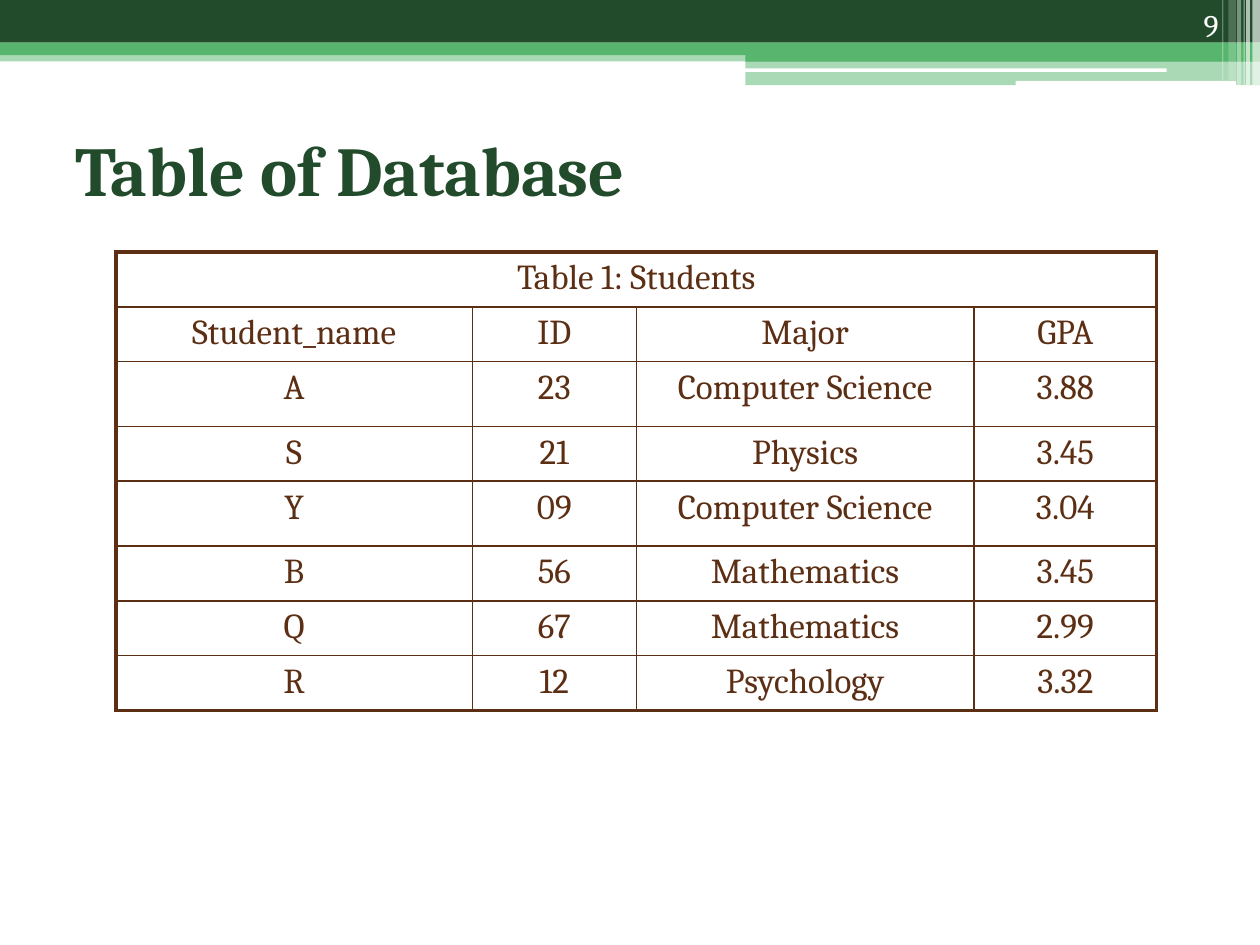
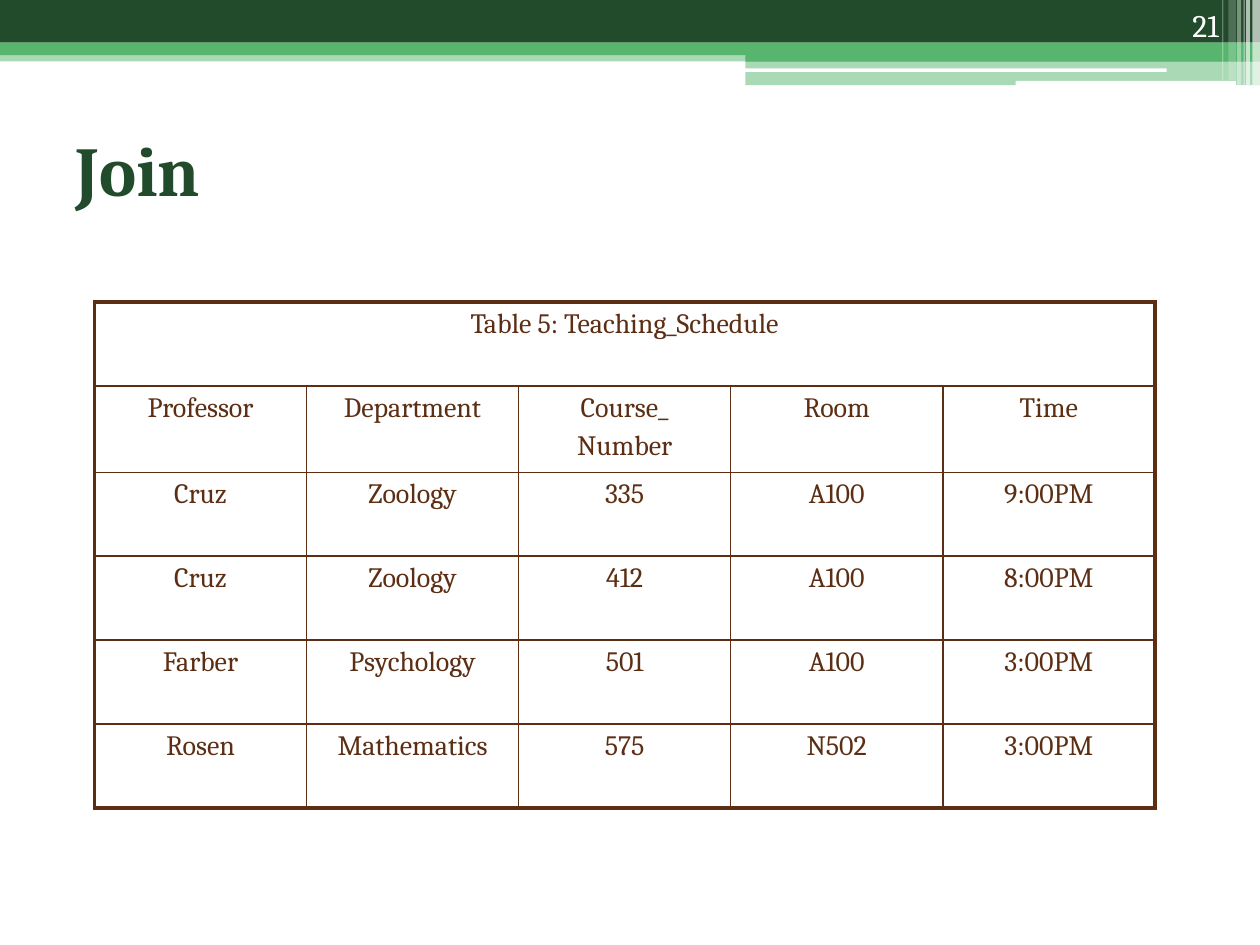
"""Build two database slides with a shared green banner and bordered tables."""
from lxml import etree
from pptx import Presentation
from pptx.dml.color import RGBColor
from pptx.enum.shapes import MSO_SHAPE
from pptx.enum.text import MSO_ANCHOR, PP_ALIGN
from pptx.oxml.ns import qn
from pptx.util import Pt

RECT, ROUND = MSO_SHAPE.RECTANGLE, MSO_SHAPE.ROUNDED_RECTANGLE
MIDDLE, BOTTOM = MSO_ANCHOR.MIDDLE, MSO_ANCHOR.BOTTOM
LEFT, CENTER, RIGHT = PP_ALIGN.LEFT, PP_ALIGN.CENTER, PP_ALIGN.RIGHT
FONT = "Cambria"
COLORS = {"dark": "214B2B", "green": "57B56D", "white": "FFFFFF", "brown": "5C2E14"}
THIN, THICK = 1, 2.25

BANDS = [
    (RECT, 0, 28.8, 720, 6.3, "green", 50),
    (RECT, 0, 0, 720, 24.4, "dark", 100),
    (RECT, 0, 24.4, 720, 7.2, "green", 100),
    (RECT, 426, 28, 294, 7.2, "green", 100),
    (RECT, 426, 34.9, 294, 13.8, "green", 50),
    (ROUND, 425.5, 39.1, 241.2, 2, "white", 100),
    (ROUND, 580.4, 46.2, 126, 2.9, "white", 100),
    (RECT, 715.6, 0, 4.4, 48.8, "white", 65),
    (RECT, 712.1, 0, 2.2, 48.8, "white", 65),
    (RECT, 710.6, 0, 0.7, 48.8, "white", 60),
    (RECT, 707, 0, 2.2, 48.8, "white", 40),
    (RECT, 702, 0, 4.3, 46, "white", 20),
    (RECT, 698.4, 0, 0.7, 46, "white", 30),
]

SLIDES = [
    {
        "title": "Table of Database", "page": "9", "size": 20,
        "left": 66.2, "top": 144,
        "cols": [203.8, 93.6, 193, 104.4],
        "rows": [31.4, 31.2, 37, 31.4, 37, 31.4, 31.2, 31.4],
        "cells": [
            ["Table 1: Students"],
            ["Student_name", "ID", "Major", "GPA"],
            ["A", "23", "Computer Science", "3.88"],
            ["S", "21", "Physics", "3.45"],
            ["Y", "09", "Computer Science", "3.04"],
            ["B", "56", "Mathematics", "3.45"],
            ["Q", "67", "Mathematics", "2.99"],
            ["R", "12", "Psychology", "3.32"],
        ],
    },
    {
        "title": "Join", "page": "21", "size": 16,
        "left": 54, "top": 172.5,
        "cols": [121.2] * 5,
        "rows": [48, 49.4] + [48] * 4,
        "cells": [
            ["Table 5: Teaching_Schedule"],
            ["Professor", "Department", "Course_\nNumber", "Room", "Time"],
            ["Cruz", "Zoology", "335", "A100", "9:00PM"],
            ["Cruz", "Zoology", "412", "A100", "8:00PM"],
            ["Farber", "Psychology", "501", "A100", "3:00PM"],
            ["Rosen", "Mathematics", "575", "N502", "3:00PM"],
        ],
    },
]


def style(para, size, color, align, bold=False):
    para.alignment = align
    para.font.name = FONT
    para.font.size = Pt(size)
    para.font.bold = bold
    para.font.color.rgb = RGBColor.from_string(COLORS[color])


def edge(cell, side, width):
    line = etree.SubElement(cell._tc.get_or_add_tcPr(), qn(f"a:ln{side}"), w=str(Pt(width)))
    fill = etree.SubElement(line, qn("a:solidFill"))
    etree.SubElement(fill, qn("a:srgbClr"), val=COLORS["brown"])


prs = Presentation()
prs.slide_width, prs.slide_height = Pt(720), Pt(540)

for data in SLIDES:
    slide = prs.slides.add_slide(prs.slide_layouts[6])
    for kind, x, y, w, h, color, alpha in BANDS:
        band = slide.shapes.add_shape(kind, Pt(x), Pt(y), Pt(w), Pt(h))
        band.shadow.inherit = False
        band.line.fill.background()
        band.fill.solid()
        band.fill.fore_color.rgb = RGBColor.from_string(COLORS[color])
        if alpha < 100:
            tint = band._element.spPr.find(".//" + qn("a:srgbClr"))
            etree.SubElement(tint, qn("a:alpha"), val=str(alpha * 1000))

    for text, x, y, w, h, size, color, align, anchor, bold in [
        (data["title"], 36, 54, 648, 84.2, 40, "dark", LEFT, MIDDLE, True),
        (data["page"], 643.7, 0, 59.8, 28.8, 18, "white", RIGHT, BOTTOM, False),
    ]:
        frame = slide.shapes.add_textbox(Pt(x), Pt(y), Pt(w), Pt(h)).text_frame
        frame.word_wrap = True
        frame.vertical_anchor = anchor
        frame.text = text
        style(frame.paragraphs[0], size, color, align, bold)

    cols, rows = data["cols"], data["rows"]
    table = slide.shapes.add_table(
        len(rows), len(cols), Pt(data["left"]), Pt(data["top"]), Pt(sum(cols)), Pt(sum(rows))
    ).table
    table.first_row = table.horz_banding = False
    for col, width in zip(table.columns, cols):
        col.width = Pt(width)
    for row, height in zip(table.rows, rows):
        row.height = Pt(height)
    table.cell(0, 0).merge(table.cell(0, len(cols) - 1))

    for r in range(len(rows)):
        for c in range(len(cols)):
            cell = table.cell(r, c)
            outer = {"L": c == 0, "R": c == len(cols) - 1, "T": r == 0, "B": r == len(rows) - 1}
            if cell.is_merge_origin:
                outer["R"] = True
            for side, thick in outer.items():
                edge(cell, side, THICK if thick else THIN)
            cell.fill.background()
            if cell.is_spanned:
                continue
            cell.text = data["cells"][r][c]
            for para in cell.text_frame.paragraphs:
                style(para, data["size"], "brown", CENTER)
                para.space_before = Pt(data["size"] * 0.2)

prs.save("out.pptx")
